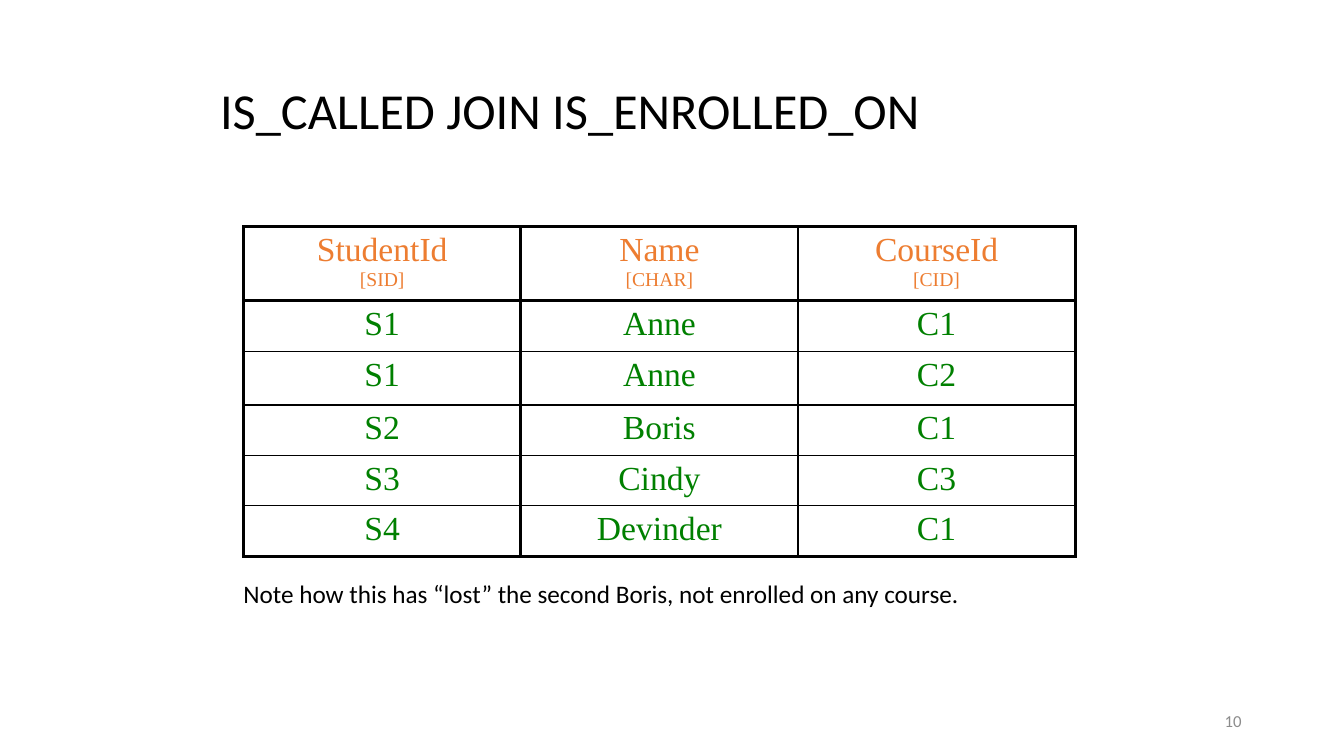
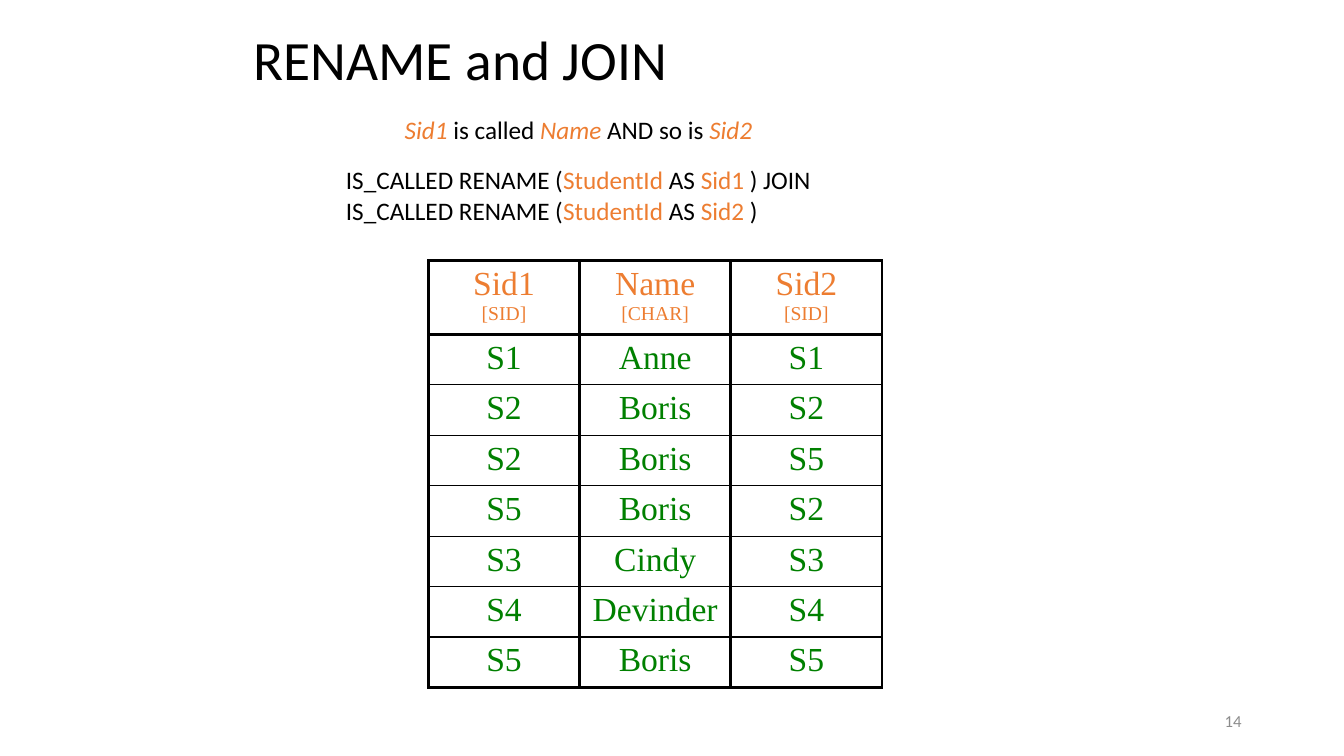
from lxml import etree
from pptx import Presentation
from pptx import util as u
from pptx.dml.color import RGBColor
from pptx.enum import text
from pptx.oxml.ns import qn

COLOURS = {
    "ink": "000000",
    "attribute": "ED7D31",
    "value": "008000",
    "number": "8C8C8C",
}
SANS, SERIF = "Calibri", "Times New Roman"
COLUMNS, ROWS = 160, 90          # page grid, twelve cells to the inch
THICK, THIN = 2.25, 1            # table rules in points
TITLE_ONLY = 5


def grid(cells):
    """Length of a number of grid cells."""
    return u.Inches(cells / 12)


def place(item, area):
    item.left, item.top, item.width, item.height = map(grid, area)


def add_span(para, words, size, colour="ink", face=SANS, italic=False):
    span = para.add_run()
    span.text = words
    font = span.font
    font.name, font.size = face, u.Pt(size)
    font.bold, font.italic = False, italic
    font.color.rgb = RGBColor.from_string(COLOURS[colour])


# Titles, text boxes and page numbers
def add_page(deck, title, area, size, number):
    page = deck.slides.add_slide(deck.slide_layouts[TITLE_ONLY])
    place(page.shapes.title, area)
    frame = page.shapes.title.text_frame
    frame.word_wrap = True
    frame.auto_size = text.MSO_AUTO_SIZE.NONE
    frame.vertical_anchor = text.MSO_ANCHOR.MIDDLE
    para = frame.paragraphs[0]
    para.alignment = text.PP_ALIGN.LEFT
    para.line_spacing = 0.9
    add_span(para, title, size)

    para = add_box(page, (113, 83.4, 36, 4.8), text.MSO_ANCHOR.MIDDLE)
    para.alignment = text.PP_ALIGN.RIGHT
    add_span(para, str(number), 12, "number")
    return page


def add_box(page, area, anchor=text.MSO_ANCHOR.TOP):
    """Add a text box and return its first paragraph."""
    box = page.shapes.add_textbox(*map(grid, area))
    box.text_frame.word_wrap = True
    box.text_frame.vertical_anchor = anchor
    return box.text_frame.paragraphs[0]


def add_phrase(para, pieces, italic=False):
    """Write plain words and attribute names in turn, plain words first."""
    for index, words in enumerate(pieces):
        is_name = index % 2 == 1
        if words:
            add_span(para, words, 18, "attribute" if is_name else "ink",
                     italic=italic and is_name)


# Relation tables
def rule_cell(cell, top, bottom):
    props = cell._tc.get_or_add_tcPr()
    for side, width in (("L", THICK), ("R", THICK), ("T", top), ("B", bottom)):
        line = etree.SubElement(props, qn(f"a:ln{side}"), w=str(u.Pt(width)))
        fill = etree.SubElement(line, qn("a:solidFill"))
        etree.SubElement(fill, qn("a:srgbClr"), val=COLOURS["ink"])
    cell.fill.background()


def add_relation(page, left, top, column_width, heights, heading, body):
    frame = page.shapes.add_table(
        len(heights), len(heading), grid(left), grid(top),
        grid(column_width * len(heading)), grid(sum(heights)))
    table = frame.table
    table.first_row = table.horz_banding = False
    for column in table.columns:
        column.width = grid(column_width)
    for row, height in zip(table.rows, heights):
        row.height = grid(height)

    last = len(body)
    for r, values in enumerate([heading, *body]):
        for c, value in enumerate(values):
            cell = table.cell(r, c)
            para = cell.text_frame.paragraphs[0]
            para.alignment = text.PP_ALIGN.CENTER
            if r == 0:
                name, kind = value
                add_span(para, name, 24, "attribute", SERIF)
                para.add_line_break()
                add_span(para, f"[{kind}]", 14, "attribute", SERIF)
            else:
                add_span(para, value, 24, "value", SERIF)
            rule_cell(cell, THICK if r <= 1 else THIN,
                      THICK if r in (0, last) else THIN)


# Slides
def add_join_page(deck):
    page = add_page(deck, "IS_CALLED JOIN IS_ENROLLED_ON",
                    (25, 6, 111, 15), 36, 10)
    add_relation(
        page, 29, 27, 33, [8.2, 5.7, 6.4, 5.8, 5.8, 5.8],
        [("StudentId", "SID"), ("Name", "CHAR"), ("CourseId", "CID")],
        [("S1", "Anne", "C1"), ("S1", "Anne", "C2"), ("S2", "Boris", "C1"),
         ("S3", "Cindy", "C3"), ("S4", "Devinder", "C1")])
    note = add_box(page, (27.8, 68.3, 107.2, 4.8))
    add_phrase(note, ["Note how this has “lost” the second Boris, "
                      "not enrolled on any course."])


def add_rename_page(deck):
    page = add_page(deck, "RENAME and JOIN", (29, 3, 102, 9), 39.6, 14)
    meaning = add_box(page, (47, 13, 64, 4.8))
    add_phrase(meaning, ["", "Sid1", " is called ", "Name",
                         " AND so is ", "Sid2"], italic=True)

    formula = add_box(page, (40, 19, 86, 8.5))
    for new_name, ending in (("Sid1", " ) JOIN"), ("Sid2", " )")):
        if formula.runs:
            formula.add_line_break()
        add_phrase(formula, ["IS_CALLED RENAME (", "StudentId",
                             " AS ", new_name, ending])

    body = [("S1", "Anne", "S1"), ("S2", "Boris", "S2"),
            ("S2", "Boris", "S5"), ("S5", "Boris", "S2"),
            ("S3", "Cindy", "S3"), ("S4", "Devinder", "S4"),
            ("S5", "Boris", "S5")]
    add_relation(page, 51, 31, 18, [8.8] + [6] * len(body),
                 [("Sid1", "SID"), ("Name", "CHAR"), ("Sid2", "SID")], body)


def main():
    deck = Presentation()
    deck.slide_width, deck.slide_height = grid(COLUMNS), grid(ROWS)
    add_join_page(deck)
    add_rename_page(deck)
    deck.save("out.pptx")


if __name__ == "__main__":
    main()
